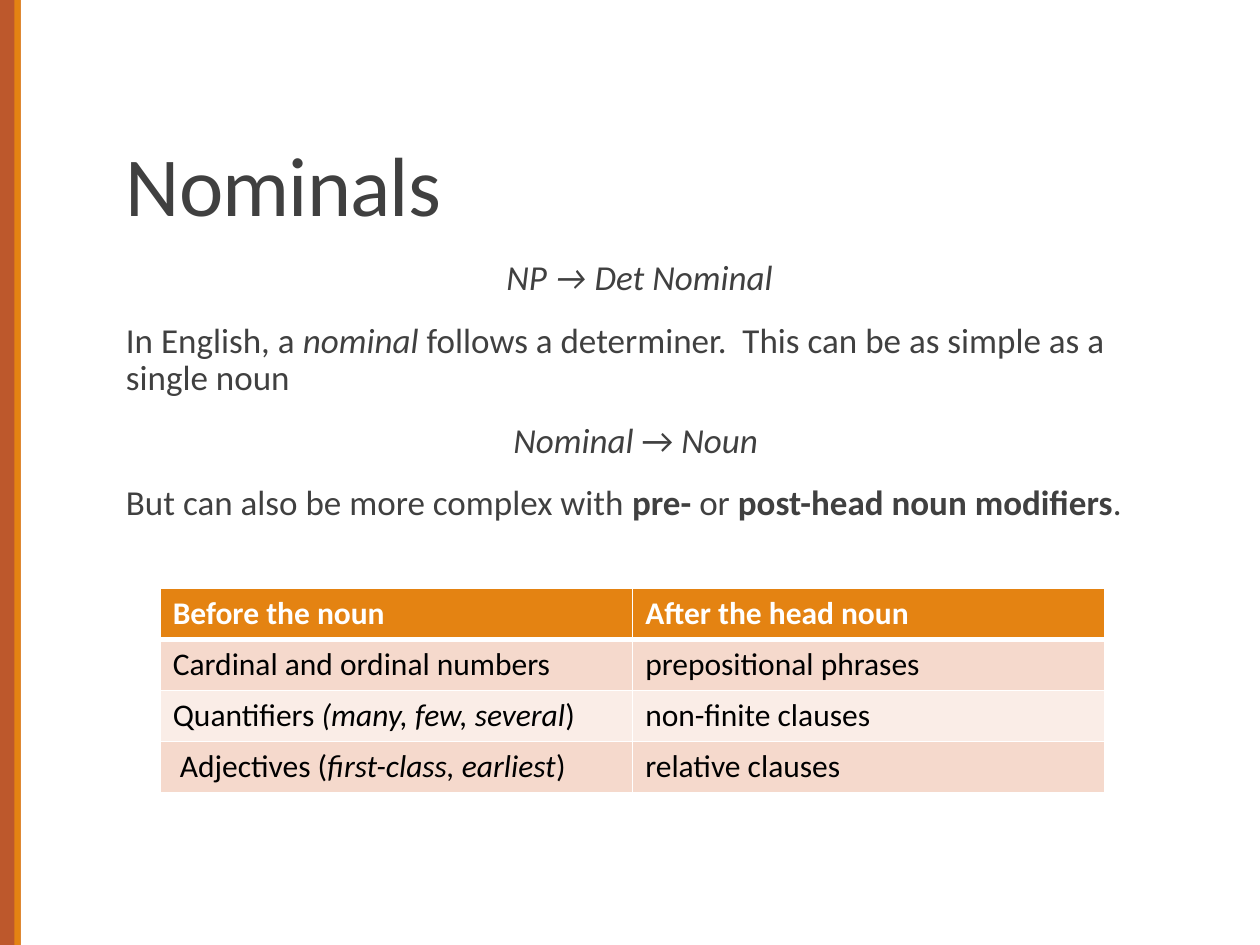
"""Build a slide on English nominals with rewrite rules and a modifier table."""
import pptx
import pptx.dml.color
import pptx.enum.shapes
import pptx.enum.text
import pptx.oxml.ns
import pptx.util
from lxml import etree

Cm = pptx.util.Cm
Pt = pptx.util.Pt
ALIGN = pptx.enum.text.PP_ALIGN
ANCHOR = pptx.enum.text.MSO_ANCHOR
COLOURS = {
    "rust": "BD582C", "orange": "E48312", "text": "404040", "white": "FFFFFF",
    "black": "000000", "band": "F5D9CC", "pale": "FAEDE7",
}
FONT = "Calibri"
BODY = [
    (ALIGN.CENTER, [("NP → Det Nominal", "italic")]),
    (ALIGN.LEFT, [("In English, a ", ""), ("nominal ", "italic"),
                  ("follows a determiner.  This can be as simple as a single noun", "")]),
    (ALIGN.CENTER, [("Nominal ", "italic"), ("→ ", ""), ("Noun ", "italic")]),
    (ALIGN.LEFT, [("But can also be more complex with ", ""), ("pre- ", "bold"),
                  ("or ", ""), ("post-head noun modifiers", "bold"), (".", "")]),
]
ROWS = [
    ([("Before the noun", "bold")], [("After the head noun", "bold")]),
    ([("Cardinal and ordinal numbers", "")], [("prepositional phrases", "")]),
    ([("Quantifiers ", ""), ("(many, few, several", "italic"), (")", "")],
     [("non-finite clauses", "")]),
    ([(" Adjectives (", ""), ("first-class, earliest", "italic"), (")", "")],
     [("relative clauses", "")]),
]


def colour(name):
    """Return the named colour."""
    return pptx.dml.color.RGBColor.from_string(COLOURS[name])


def add_span(para, text, style="", size=20, ink="text", tracking=None):
    """Append one formatted run to a paragraph."""
    span = para.add_run()
    span.text = text
    span.font.name = FONT
    span.font.size = Pt(size)
    span.font.color.rgb = colour(ink)
    span.font.bold = style == "bold"
    span.font.italic = style == "italic"
    if tracking is not None:
        span.font._element.set("spc", str(tracking))


def add_bar(page, left, width, height, fill):
    """Add a plain vertical bar at the top of the slide."""
    bar = page.shapes.add_shape(
        pptx.enum.shapes.MSO_SHAPE.RECTANGLE, left, 0, width, height)
    bar.shadow.inherit = False
    bar.fill.solid()
    bar.fill.fore_color.rgb = colour(fill)
    bar.line.fill.background()


def add_text(page, top, height, paragraphs, anchor=ANCHOR.TOP, spacing=0.9,
             right=Cm(0), **style):
    """Add a wrapped text box holding aligned paragraphs of spans."""
    box = page.shapes.add_textbox(Cm(2.29), top, Cm(20.96), height)
    frame = box.text_frame
    frame.word_wrap = True
    frame.vertical_anchor = anchor
    frame.margin_left, frame.margin_right = Cm(0.25), right
    for index, (align, spans) in enumerate(paragraphs):
        para = frame.add_paragraph() if index else frame.paragraphs[0]
        para.alignment = align
        para.line_spacing = spacing
        para.space_before = Pt(12 if index else 0)
        para.space_after = Pt(2)
        for text, emphasis in spans:
            add_span(para, text, emphasis, **style)


def add_border(cell, side, width):
    """Draw a white border on one side of a table cell."""
    line = etree.SubElement(cell._tc.get_or_add_tcPr(),
                            pptx.oxml.ns.qn(f"a:ln{side}"), w=str(Pt(width)))
    fill = etree.SubElement(line, pptx.oxml.ns.qn("a:solidFill"))
    etree.SubElement(fill, pptx.oxml.ns.qn("a:srgbClr"), val=COLOURS["white"])


def fill_cell(cell, spans, row):
    """Write and colour a cell according to its row."""
    for side in "LRTB":
        heading_edge = (row, side) in ((0, "B"), (1, "T"))
        add_border(cell, side, 3 if heading_edge else 1)
    cell.fill.solid()
    fill = "orange" if row == 0 else "band" if row % 2 else "pale"
    cell.fill.fore_color.rgb = colour(fill)
    for text, emphasis in spans:
        add_span(cell.text_frame.paragraphs[0], text, emphasis, size=18,
                 ink="black" if row else "white")


def add_modifier_table(page):
    """Add the table of modifiers around the head noun."""
    table = page.shapes.add_table(
        len(ROWS), 2, Cm(3.23), Cm(11.86), Cm(19.05), Cm(4.12)).table
    for row, entries in enumerate(ROWS):
        for column, spans in enumerate(entries):
            fill_cell(table.cell(row, column), spans, row)


def main():
    """Build and save the deck."""
    deck = pptx.Presentation()
    deck.slide_width, deck.slide_height = Cm(25.4), Cm(19.05)
    page = deck.slides.add_slide(deck.slide_layouts[6])
    add_bar(page, 0, Cm(0.42), deck.slide_height, "rust")
    add_bar(page, Cm(0.29), Cm(0.13), deck.slide_height, "orange")
    add_text(page, Cm(0.79), Cm(4.04), [(ALIGN.LEFT, [("Nominals", "")])],
             anchor=ANCHOR.BOTTOM, spacing=0.85, right=Cm(0.25), size=48, tracking=-50)
    add_text(page, Cm(5.13), Cm(11.18), BODY)
    add_modifier_table(page)
    deck.save("out.pptx")


if __name__ == "__main__":
    main()
